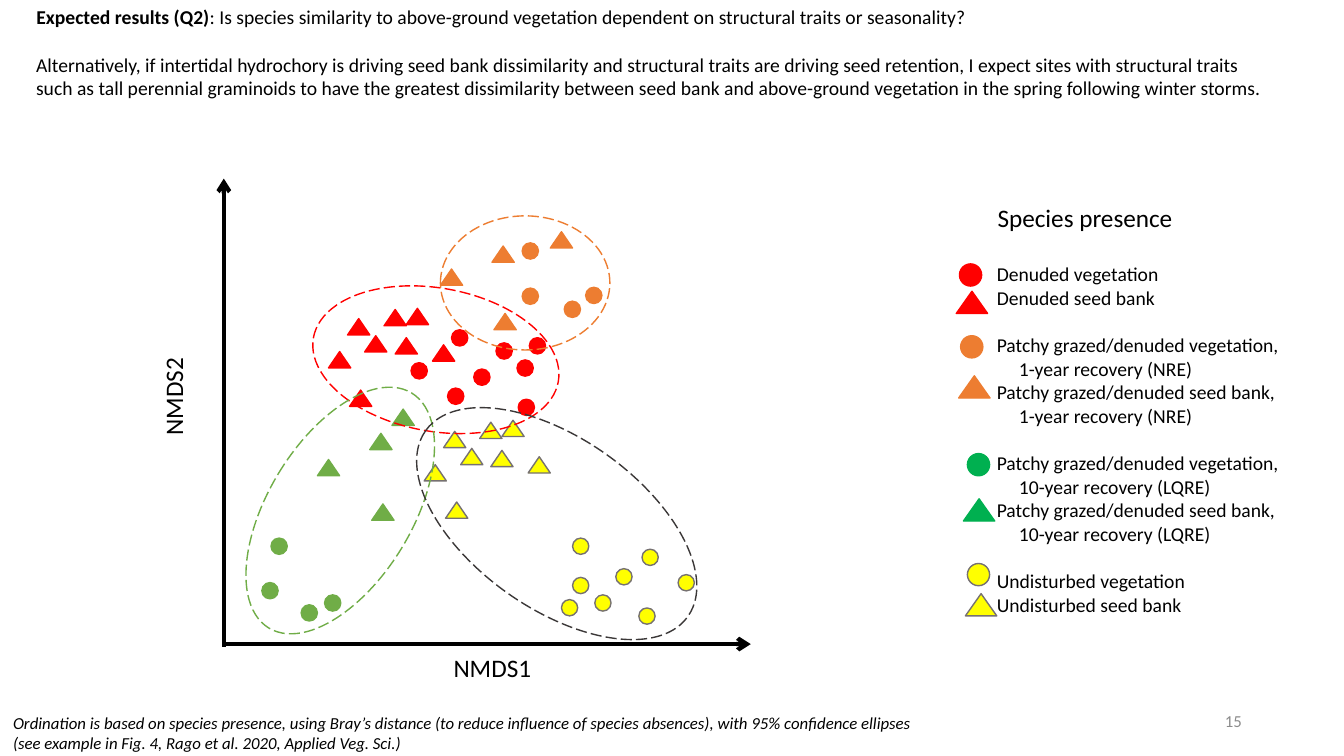
from dataclasses import dataclass
from typing import Optional

from lxml.etree import SubElement
from pptx import Presentation
from pptx.dml.color import RGBColor
from pptx.enum.dml import MSO_LINE
from pptx.enum.shapes import MSO_CONNECTOR, MSO_SHAPE
from pptx.enum.text import MSO_ANCHOR, MSO_AUTO_SIZE, PP_ALIGN
from pptx.oxml.ns import qn
from pptx.shapes.autoshape import Shape
from pptx.slide import Slide
from pptx.util import Cm, Pt

Point = tuple[float, float]
Box = tuple[float, float, float, float]


@dataclass(frozen=True)
class Theme:
    font: str = "Calibri"
    black: str = "000000"
    page_gray: str = "8C8C8C"
    red: str = "FF0000"
    orange: str = "ED7D31"
    green: str = "70AD47"
    legend_green: str = "00B050"
    yellow: str = "FFFF00"
    gray: str = "767171"
    charcoal: str = "3B3838"
    heading_size: int = 18
    body_size: int = 14
    note_size: int = 12
    blank_line: float = 17.1


THEME = Theme()


@dataclass(frozen=True)
class Ellipse:
    box: Box
    color: str
    rotation: float = 0


@dataclass(frozen=True)
class Treatment:
    name: str
    detail: str
    fill: str
    outline: str
    legend_fill: str
    legend_outline: str
    legend_circle: Point
    legend_triangle: Point
    circles: list[Point]
    triangles: list[Point]
    ellipse: Ellipse


# All positions are in centimetres
TREATMENTS = [
    Treatment(
        "Denuded", "", THEME.red, THEME.red, THEME.red, THEME.red,
        (24.18, 6.65), (24.1, 7.34),
        [(11.38, 8.31), (10.36, 9.14), (13.03, 9.07), (11.94, 9.3),
         (11.28, 9.78), (13.34, 8.51), (12.5, 8.64), (13.06, 10.06)],
        [(8.76, 8.03), (9.19, 8.46), (9.68, 7.8), (9.96, 8.51),
         (8.81, 9.83), (10.9, 8.69), (10.24, 7.77), (8.28, 8.86)],
        Ellipse((7.85, 7.26, 6.27, 3.61), THEME.red, 10.2)),
    Treatment(
        "Patchy grazed/denuded", "1-year recovery (NRE)",
        THEME.orange, THEME.orange, THEME.orange, THEME.orange,
        (24.21, 8.46), (24.16, 9.47),
        [(13.16, 6.12), (14.22, 7.59), (13.16, 7.26), (14.76, 7.24)],
        [(12.4, 6.2), (12.45, 7.9), (13.87, 5.84), (11.1, 6.78)],
        Ellipse((11.1, 5.44, 4.27, 3.38), THEME.orange)),
    Treatment(
        "Patchy grazed/denuded", "10-year recovery (LQRE)",
        THEME.green, THEME.green, THEME.legend_green, THEME.legend_green,
        (24.38, 11.43), (24.28, 12.57),
        [(6.83, 13.56), (7.59, 15.24), (6.6, 14.68), (8.18, 14.99)],
        [(9.32, 10.92), (9.37, 12.7), (9.88, 10.31), (8, 11.58)],
        Ellipse((6.76, 9.4, 3.63, 6.93), THEME.green, 31.3)),
    Treatment(
        "Undisturbed", "", THEME.yellow, THEME.gray, THEME.yellow, THEME.gray,
        (24.38, 14.2), (24.33, 14.96),
        [(16.1, 15.32), (17.09, 14.48), (14.43, 14.55), (15.52, 14.33),
         (16.18, 13.84), (14.15, 15.11), (14.99, 14.99), (14.43, 13.56)],
        [(11.18, 10.87), (11.61, 11.3), (12.09, 10.64), (12.37, 11.35),
         (11.23, 12.65), (13.31, 11.51), (12.65, 10.59), (10.69, 11.71)],
        Ellipse((9.98, 11.05, 8.1, 4.29), THEME.charcoal, 35.3)),
]


def style_text(shape: Shape, size: int, color: str = THEME.black, italic: bool = False) -> None:
    for paragraph in shape.text_frame.paragraphs:
        for run in paragraph.runs:
            run.font.name = THEME.font
            run.font.size = Pt(size)
            run.font.italic = italic
            run.font.color.rgb = RGBColor.from_string(color)


def add_text(slide: Slide, box: Box, text: str, size: int, color: str = THEME.black,
             italic: bool = False, wrap: bool = False) -> Shape:
    shape = slide.shapes.add_textbox(*map(Cm, box))
    shape.text_frame.text = text
    shape.text_frame.word_wrap = wrap
    shape.text_frame.auto_size = MSO_AUTO_SIZE.SHAPE_TO_FIT_TEXT
    style_text(shape, size, color, italic)
    return shape


def add_outline(slide: Slide, kind: MSO_SHAPE, box: Box, line: str,
                fill: Optional[str] = None) -> Shape:
    shape = slide.shapes.add_shape(kind, *map(Cm, box))
    shape.shadow.inherit = False
    shape.line.color.rgb = RGBColor.from_string(line)
    shape.line.width = Pt(1)
    if fill:
        shape.fill.solid()
        shape.fill.fore_color.rgb = RGBColor.from_string(fill)
    else:
        shape.fill.background()
    return shape


def add_marks(slide: Slide, circles: list[Point], triangles: list[Point], fill: str,
              line: str, height: float, triangle_width: float) -> None:
    for kind, points, width in ((MSO_SHAPE.OVAL, circles, height),
                                (MSO_SHAPE.ISOSCELES_TRIANGLE, triangles, triangle_width)):
        for left, top in points:
            add_outline(slide, kind, (left, top, width, height), line, fill)


def add_axis(slide: Slide, tip: Point, origin: Point) -> None:
    axis = slide.shapes.add_connector(MSO_CONNECTOR.STRAIGHT, *map(Cm, tip + origin))
    axis.line.color.rgb = RGBColor.from_string(THEME.black)
    axis.line.width = Pt(3)
    SubElement(axis.line._get_or_add_ln(), qn("a:headEnd"), type="arrow")
    SubElement(axis._element.spPr, qn("a:effectLst"))


def add_legend(slide: Slide) -> None:
    add_text(slide, (24.89, 4.98, 4.98, 1.02), "Species presence", THEME.heading_size)
    lines: list[str] = []
    starts: list[int] = []
    details: list[int] = []
    for treatment in TREATMENTS:
        starts.append(len(lines))
        for source in ("vegetation", "seed bank"):
            lines.append(f"{treatment.name} {source}" + ("," if treatment.detail else ""))
            if treatment.detail:
                details.append(len(lines))
                lines.append(treatment.detail)
        add_marks(slide, [treatment.legend_circle], [treatment.legend_triangle],
                  treatment.legend_fill, treatment.legend_outline, 0.56, 0.79)
    legend = add_text(slide, (24.87, 6.48, 7.8, 9.25), "\n".join(lines), THEME.body_size)
    paragraphs = legend.text_frame.paragraphs
    for index in starts[1:]:
        paragraphs[index].space_before = Pt(THEME.blank_line)
    for index in details:
        paragraphs[index]._p.get_or_add_pPr().set("marL", str(Cm(0.56)))


def add_title(slide: Slide) -> None:
    title = slide.shapes.title
    title.left, title.top, title.width, title.height = map(Cm, (0.66, 0, 31.83, 0.85))
    frame = title.text_frame
    frame.auto_size = MSO_AUTO_SIZE.NONE
    frame.vertical_anchor = MSO_ANCHOR.TOP
    paragraph = frame.paragraphs[0]
    paragraph.alignment = PP_ALIGN.LEFT
    paragraph.line_spacing = 1.0
    for text, bold in (
            ("Expected results (Q2)", True),
            (": Is species similarity to above-ground vegetation dependent on "
             "structural traits or seasonality?", False)):
        run = paragraph.add_run()
        run.text = text
        run.font.bold = bold
    style_text(title, THEME.body_size)


def main() -> None:
    presentation = Presentation()
    presentation.slide_width, presentation.slide_height = Cm(33.87), Cm(19.05)
    slide = presentation.slides.add_slide(presentation.slide_layouts[5])

    # Heading and hypothesis
    add_title(slide)
    add_text(slide, (0.66, 1.2, 31.83, 1.46),
             "Alternatively, if intertidal hydrochory is driving seed bank dissimilarity and "
             "structural traits are driving seed retention, I expect sites with structural "
             "traits such as tall perennial graminoids to have the greatest dissimilarity "
             "between seed bank and above-ground vegetation in the spring following winter "
             "storms.", THEME.body_size, wrap=True)

    # Axes
    add_axis(slide, (5.64, 4.5), (5.64, 16.31))
    add_axis(slide, (18.92, 16.23), (5.69, 16.23))
    add_text(slide, (11.18, 16.31, 2.49, 1.02), "NMDS1", THEME.heading_size)
    add_text(slide, (3.12, 9.47, 2.49, 1.02), "NMDS2", THEME.heading_size).rotation = 270

    # Ordination marks, then confidence ellipses
    for treatment in TREATMENTS:
        add_marks(slide, treatment.circles, treatment.triangles,
                  treatment.fill, treatment.outline, 0.41, 0.56)
    for treatment in TREATMENTS:
        ellipse = add_outline(slide, MSO_SHAPE.OVAL, treatment.ellipse.box,
                              treatment.ellipse.color)
        ellipse.rotation = treatment.ellipse.rotation
        ellipse.line.dash_style = MSO_LINE.LONG_DASH

    # Legend, footnote and page number
    add_legend(slide)
    add_text(slide, (0.08, 17.83, 23.44, 1.27),
             "Ordination is based on species presence, using Bray’s distance (to reduce "
             "influence of species absences), with 95% confidence ellipses\n"
             "(see example in Fig. 4, Rago et al. 2020, Applied Veg. Sci.)",
             THEME.note_size, italic=True)
    number = add_text(slide, (23.93, 17.65, 7.62, 1.02), "15", THEME.note_size,
                      THEME.page_gray, wrap=True)
    number.text_frame.auto_size = MSO_AUTO_SIZE.NONE
    number.text_frame.vertical_anchor = MSO_ANCHOR.MIDDLE
    number.text_frame.paragraphs[0].alignment = PP_ALIGN.RIGHT

    presentation.save("out.pptx")


if __name__ == "__main__":
    main()
